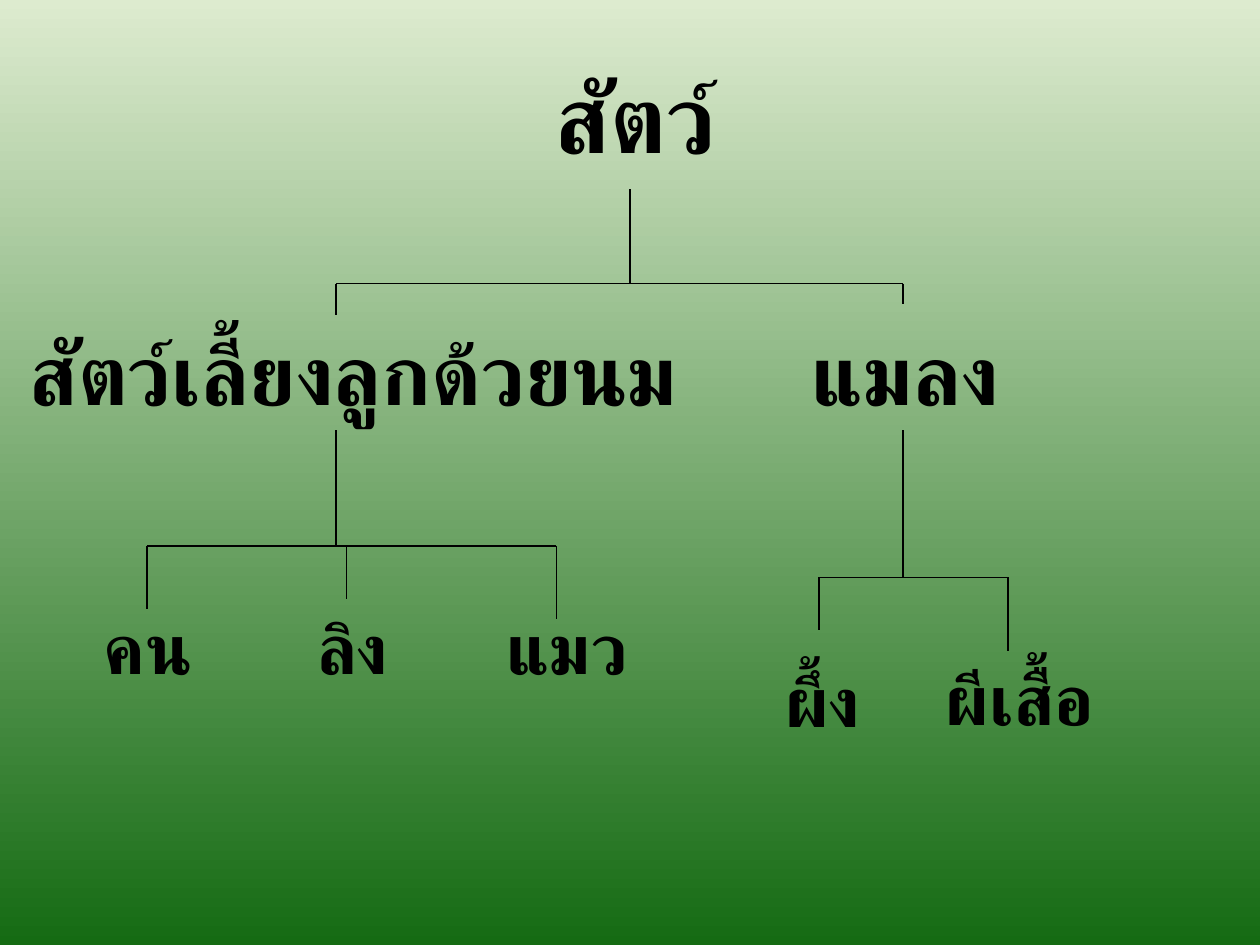
"""Build a slide with a family tree of animals on a green gradient."""
from dataclasses import dataclass

from lxml import etree
from pptx import Presentation
from pptx.dml.color import RGBColor
from pptx.enum import shapes, text
from pptx.oxml import ns
from pptx.slide import Slide
from pptx.util import Pt


@dataclass(frozen=True)
class Theme:
    ink: RGBColor = RGBColor(0x00, 0x00, 0x00)
    sky: RGBColor = RGBColor(0xDD, 0xEB, 0xCF)
    grass: RGBColor = RGBColor(0x15, 0x6B, 0x13)
    font: str = "Calibri"
    kingdom: float = 54
    group: float = 48
    species: float = 40
    rule: float = 0.75


@dataclass(frozen=True)
class Animal:
    name: str
    left: float
    top: float
    width: float
    height: float
    size: float


@dataclass(frozen=True)
class Twig:
    x: float
    bottom: float


@dataclass(frozen=True)
class Branch:
    x: float
    top: float
    fork: float
    twigs: tuple[Twig, ...]


THEME = Theme()

ANIMALS = (
    Animal("สัตว์", 310.5, 30.3, 106, 72, THEME.kingdom),
    Animal("สัตว์เลี้ยงลูกด้วยนม", 9.5, 180, 385, 65, THEME.group),
    Animal("แมลง", 456, 180, 122.5, 65, THEME.group),
    Animal("คน", 51.5, 342, 66, 55.5, THEME.species),
    Animal("ลิง", 173.5, 342, 56, 55.5, THEME.species),
    Animal("แมว", 281, 342, 86, 55.5, THEME.species),
    Animal("ผึ้ง", 441, 372, 58, 55.5, THEME.species),
    Animal("ผีเสื้อ", 532, 371, 101.5, 55.5, THEME.species),
)

BRANCHES = (
    Branch(360, 108, 162, (Twig(192, 180), Twig(516, 174))),
    Branch(192, 246, 312, (Twig(84, 348), Twig(198, 342), Twig(318, 354))),
    Branch(516, 246, 330, (Twig(468, 360), Twig(576, 372))),
)


def paint_background(slide: Slide) -> None:
    fill = slide.background.fill
    fill.gradient()
    fill.gradient_angle = 270
    for stop, color in zip(fill.gradient_stops, (THEME.sky, THEME.grass)):
        stop.color.rgb = color


def draw_animal(slide: Slide, animal: Animal) -> None:
    label = slide.shapes.add_textbox(
        Pt(animal.left), Pt(animal.top), Pt(animal.width), Pt(animal.height)
    )
    frame = label.text_frame
    frame.word_wrap = False
    frame.auto_size = text.MSO_AUTO_SIZE.SHAPE_TO_FIT_TEXT
    paragraph = frame.paragraphs[0]
    paragraph.text = animal.name
    paragraph.alignment = text.PP_ALIGN.CENTER
    paragraph.font.name = THEME.font
    paragraph.font.size = Pt(animal.size)
    paragraph.font.bold = True
    paragraph.font.color.rgb = THEME.ink


def draw_line(slide: Slide, x1: float, y1: float, x2: float, y2: float) -> None:
    line = slide.shapes.add_connector(
        shapes.MSO_CONNECTOR.STRAIGHT, Pt(x1), Pt(y1), Pt(x2), Pt(y2)
    )
    line.line.color.rgb = THEME.ink
    line.line.width = Pt(THEME.rule)
    etree.SubElement(line._element.spPr, ns.qn("a:effectLst"))


def draw_branch(slide: Slide, branch: Branch) -> None:
    draw_line(slide, branch.x, branch.top, branch.x, branch.fork)
    draw_line(slide, branch.twigs[0].x, branch.fork, branch.twigs[-1].x, branch.fork)
    for twig in branch.twigs:
        draw_line(slide, twig.x, branch.fork, twig.x, twig.bottom)


def main() -> None:
    deck = Presentation()
    deck.slide_width, deck.slide_height = Pt(720), Pt(540)
    slide = deck.slides.add_slide(deck.slide_layouts[6])
    paint_background(slide)
    for animal in ANIMALS:
        draw_animal(slide, animal)
    for branch in BRANCHES:
        draw_branch(slide, branch)
    deck.save("out.pptx")


if __name__ == "__main__":
    main()
